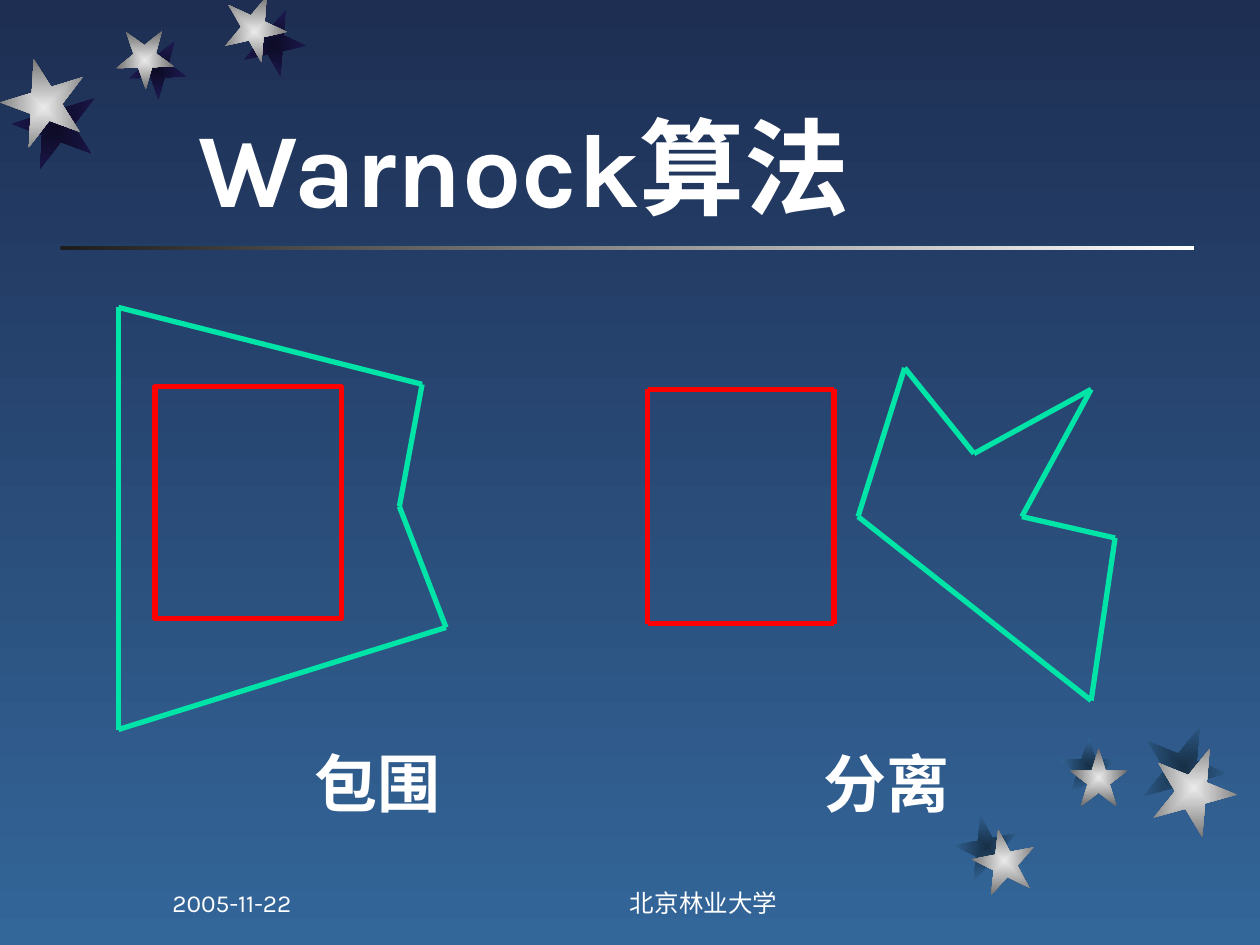
from lxml import etree
from pptx import Presentation
from pptx import util as u
from pptx.dml.color import RGBColor
from pptx.enum import shapes, text
from pptx.oxml.ns import qn

# Grid of 100 columns by 75 rows; boxes are (left, top, width, height) in cells
COLUMNS, ROWS = 100, 75
SLIDE_WIDTH, SLIDE_HEIGHT = u.Inches(10), u.Inches(7.5)

WHITE, RED, GREEN = "FFFFFF", "FF0000", "00E4A8"
SILVER = ("EAEAEA", "6B6B6B")
NIGHT_SHADOW = ("0D0B26", "1E1A53")
SEA_SHADOW = ("172F46", "336699")


def color(value):
    return RGBColor.from_string(value)


def across(columns):
    return round(columns * SLIDE_WIDTH / COLUMNS)


def down(rows):
    return round(rows * SLIDE_HEIGHT / ROWS)


def inside(box, left, top, width, height):
    """Move a part from the coordinates of its box to those of the slide."""
    return box[0] + left, box[1] + top, width, height


def emu(box):
    left, top, width, height = box
    return across(left), down(top), across(width), down(height)


def set_gradient(fill, colors, angle=0):
    fill.gradient()
    fill.gradient_angle = angle
    for stop, value, position in zip(fill.gradient_stops, colors, (0, 1)):
        stop.color.rgb = color(value)
        stop.position = position


def center_gradient(shape):
    """Let the gradient run from the middle of the shape outwards."""
    gradient = shape._element.spPr.find(qn("a:gradFill"))
    gradient.remove(gradient.find(qn("a:lin")))
    radial = etree.SubElement(gradient, qn("a:path"), {"path": "rect"})
    etree.SubElement(radial, qn("a:fillToRect"),
                     dict.fromkeys("ltrb", "50000"))


def add_preset(slide, kind, box):
    shape = slide.shapes.add_shape(kind, *emu(box))
    shape.shadow.inherit = False
    shape.line.fill.background()
    return shape


def add_text(slide, box, content, size, font="Karla", bold=False,
             align=text.PP_ALIGN.LEFT, anchor=text.MSO_ANCHOR.BOTTOM, wrap=True):
    frame = slide.shapes.add_textbox(*emu(box)).text_frame
    frame.word_wrap = wrap
    frame.auto_size = (text.MSO_AUTO_SIZE.NONE if wrap
                       else text.MSO_AUTO_SIZE.SHAPE_TO_FIT_TEXT)
    frame.vertical_anchor = anchor
    paragraph = frame.paragraphs[0]
    paragraph.alignment = align
    run = paragraph.add_run()
    run.text = content
    run.font.size = u.Pt(size)
    run.font.name = font
    run.font.bold = bold
    run.font.color.rgb = color(WHITE)


def add_outline(slide, box, points, line_color):
    """Close a polygon with one straight line for each side."""
    group = slide.shapes.add_group_shape()
    corners = [(across(box[0] + x), down(box[1] + y)) for x, y in points]
    for start, end in zip(corners, corners[1:] + corners[:1]):
        side = group.shapes.add_connector(
            shapes.MSO_CONNECTOR.STRAIGHT, *start, *end)
        side.line.color.rgb = color(line_color)
        side.line.width = u.Pt(3)
        etree.SubElement(side._element.spPr, qn("a:effectLst"))


def add_stars(slide, box, stars, shadow_colors):
    """Each star is (left, top, size, rotation, shadow dx, shadow dy)."""
    for is_shadow in (True, False):
        for left, top, size, rotation, dx, dy in stars:
            if is_shadow:
                left, top = left + dx, top + dy
            star = add_preset(slide, shapes.MSO_SHAPE.STAR_5_POINT,
                              inside(box, left, top, size, size))
            star.rotation = rotation
            set_gradient(star.fill, shadow_colors if is_shadow else SILVER)
            center_gradient(star)


def add_heading(slide, box, title):
    add_text(slide, inside(box, 10, 0, 70.1, 16), title, 60, bold=True)
    rule = add_preset(slide, shapes.MSO_SHAPE.RECTANGLE,
                      inside(box, 0, 16.9, box[2], 0.35))
    set_gradient(rule.fill, ("1C1C1C", WHITE))


def add_figure(slide, box, polygon, window, caption, caption_at, window_sides):
    """A polygon, the window it is tested against, and their caption."""
    add_outline(slide, box, polygon, GREEN)
    left, top, width, height = window
    if window_sides:
        right, bottom = left + width, top + height
        corners = [(left, top), (right, top), (right, bottom), (left, bottom)]
        add_outline(slide, box, corners, RED)
    else:
        frame = add_preset(slide, shapes.MSO_SHAPE.RECTANGLE,
                           inside(box, *window))
        frame.fill.background()
        frame.line.color.rgb = color(RED)
        frame.line.width = u.Pt(3)
    add_text(slide, inside(box, *caption_at, 12, 7), caption, 36,
             font="Times New Roman", bold=True,
             anchor=text.MSO_ANCHOR.TOP, wrap=False)


def add_footer(slide, box, date, school):
    add_text(slide, inside(box, 0, 0, 20.8, box[3]), date, 14)
    add_text(slide, inside(box, 27.3, 0, 31.7, box[3]), school, 14,
             align=text.PP_ALIGN.CENTER)


def main():
    presentation = Presentation()
    presentation.slide_width, presentation.slide_height = SLIDE_WIDTH, SLIDE_HEIGHT
    slide = presentation.slides.add_slide(presentation.slide_layouts[6])
    set_gradient(slide.background.fill, ("1E2E53", "336699"), angle=270)

    # Stars in the upper left and lower right corners
    add_stars(slide, (0, 0, 25, 14), [
        (17.7, 0, 5, 167.3, 1.5, 1.1),
        (9.2, 2.5, 4.6, 178.3, 1, 0.8),
        (0.1, 5.2, 6.7, 200.3, 0.9, 1.7)], NIGHT_SHADOW)
    add_stars(slide, (75, 57, 25, 15), [
        (2.2, 8.8, 5, 349, -1.4, -1.1),
        (9.9, 2.4, 4.6, 0, -0.8, -0.9),
        (16.4, 2.2, 6.7, 22, -0.8, -1.7)], SEA_SHADOW)

    add_heading(slide, (4.8, 2.6, 90, 17.3), "Warnock算法")

    # Polygon surrounding the window
    add_figure(slide, (9.4, 24.4, 26, 33.5),
               [(0, 0), (24.1, 6.1), (22.3, 15.8), (26, 25.4), (0, 33.5)],
               (2.9, 6.3, 14.8, 18.4), "包围", (14.6, 34.2),
               window_sides=False)

    # Polygon separate from the window
    add_figure(slide, (51.4, 29.2, 37.1, 26.4),
               [(20.4, 0), (16.7, 11.8), (35.2, 26.4), (37.1, 13.5),
                (29.7, 11.8), (35.2, 1.7), (25.9, 6.8)],
               (0, 1.7, 14.8, 18.6), "分离", (13, 29.4),
               window_sides=True)

    add_footer(slide, (12.7, 68.3, 59, 5), "2005-11-22", "北京林业大学")
    presentation.save("out.pptx")


if __name__ == "__main__":
    main()
